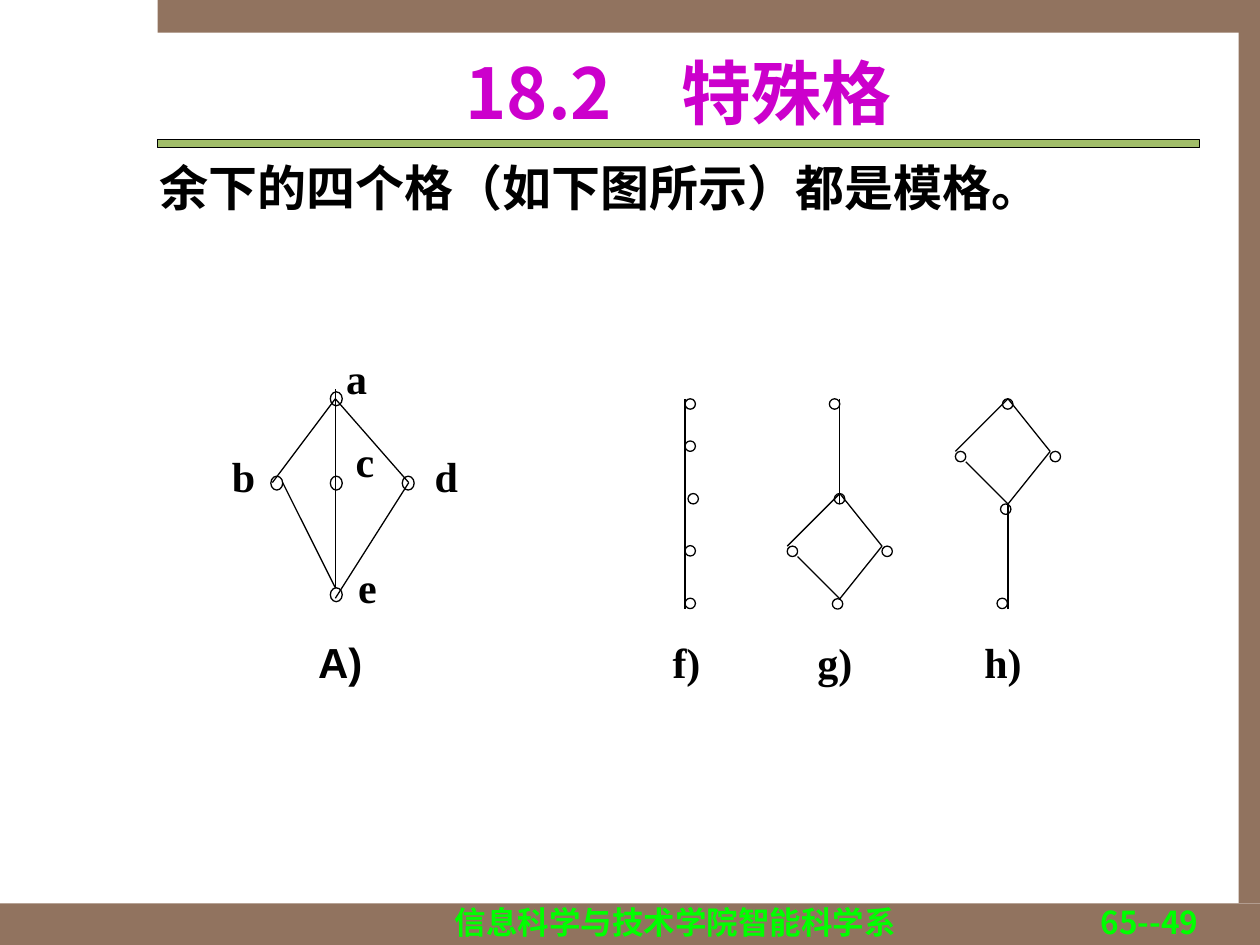
from lxml import etree
from pptx import Presentation
from pptx import util as u
from pptx.dml.color import RGBColor
from pptx.enum import shapes, text
from pptx.oxml.ns import qn

BROWN = RGBColor(0x91, 0x73, 0x5F)
GREEN = RGBColor(0xA1, 0xBD, 0x69)
LIME = RGBColor(0x00, 0xFF, 0x00)
PINK = RGBColor(0xCC, 0x00, 0xCC)
BLACK = RGBColor(0x00, 0x00, 0x00)

HAN, SERIF, SANS = "Noto Sans CJK SC", "Times New Roman", "Arial"
MID, TOP = text.MSO_ANCHOR.MIDDLE, text.MSO_ANCHOR.TOP
LEFT, MEAN, RIGHT = text.PP_ALIGN.LEFT, text.PP_ALIGN.CENTER, text.PP_ALIGN.RIGHT
THIN = u.Pt(0.75)


def apply(item, vals):
    for key, val in vals.items():
        setattr(item, key, val)


def place(shape, box):
    apply(shape, dict(zip(("left", "top", "width", "height"), map(u.Cm, box))))


def write(shape, words, size, face, hue, align, anchor=TOP, wrap=True, pitch=1.0):
    frame = shape.text_frame
    apply(frame, {"word_wrap": wrap, "vertical_anchor": anchor,
                  "auto_size": text.MSO_AUTO_SIZE.NONE})
    para = frame.paragraphs[0]
    apply(para, {"alignment": align, "space_before": u.Pt(0), "line_spacing": pitch})
    run = para.add_run()
    run.text = words
    apply(run.font, {"size": u.Pt(size), "bold": True, "name": face})
    run.font.color.rgb = hue
    east = etree.SubElement(run.font._element, qn("a:ea"))
    east.set("typeface", face)


def bar(slide, box, fill):
    shape = slide.shapes.add_shape(shapes.MSO_SHAPE.RECTANGLE, *map(u.Cm, box))
    shape.shadow.inherit = False
    shape.fill.solid()
    shape.fill.fore_color.rgb = fill
    shape.line.fill.background()
    return shape


def border(slide):
    bar(slide, (0, 18.21, 25.4, 0.84), BROWN)
    bar(slide, (3.18, 0, 22.22, 0.66), BROWN)
    bar(slide, (24.97, 0.64, 0.43, 17.57), BROWN)


def head(slide, box):
    """Title with its green rule along the bottom edge."""
    x, y, w, h = box
    place(slide.shapes.title, box)
    write(slide.shapes.title, "18.2　特殊格", 40, HAN, PINK, MEAN, MID)
    rule = bar(slide, (x, y + h - 0.03, w, 0.16), GREEN)
    rule.line.color.rgb = BLACK
    rule.line.width = THIN


def body(slide, box):
    hold = slide.placeholders[1]
    place(hold, box)
    props = hold.text_frame.paragraphs[0]._p.get_or_add_pPr()
    props.set("marL", str(u.Cm(1.48)))
    props.set("indent", str(u.Cm(-1.48)))
    etree.SubElement(props, qn("a:buNone"))
    write(hold, "余下的四个格（如下图所示）都是模格。", 28, HAN, BLACK, LEFT, pitch=0.9)


def foot(slide, box):
    x, y, w, h = box
    split = 11.02
    for left, wide, words, align in (
            (x, split, "信息科学与技术学院智能科学系", MEAN),
            (x + split, w - split, "65--49", RIGHT)):
        label = slide.shapes.add_textbox(*map(u.Cm, (left, y, wide, h)))
        write(label, words, 18, HAN, LIME, align, pitch=0.9)


def graph(slide, box, nodes, edges, tags, dot=(0.21, 0.21)):
    """Hasse diagram; box is its apex, node points are their top left corners."""
    x, y = box
    group = slide.shapes.add_group_shape().shapes
    for x1, y1, x2, y2 in edges:
        line = group.add_connector(
            shapes.MSO_CONNECTOR.STRAIGHT,
            *map(u.Cm, (x + x1, y + y1, x + x2, y + y2)))
        line.line.color.rgb = BLACK
        line.line.width = THIN
        etree.SubElement(line._element.spPr, qn("a:effectLst"))
    for dx, dy in nodes:
        ring = group.add_shape(shapes.MSO_SHAPE.OVAL,
                               *map(u.Cm, (x + dx, y + dy, *dot)))
        ring.shadow.inherit = False
        ring.fill.background()
        ring.line.color.rgb = BLACK
        ring.line.width = THIN
    for words, dx, dy, face in tags:
        wide, high = 0.5 + 0.45 * len(words), 1.27
        label = group.add_textbox(
            *map(u.Cm, (x + dx - wide / 2, y + dy - high / 2, wide, high)))
        write(label, words, 24, face, BLACK, MEAN, MID, False)


def five(slide, box):
    """Diamond with three middle elements."""
    nodes = [(-0.1, -0.14), (-1.3, 1.56), (-0.1, 1.56), (1.35, 1.56), (-0.1, 3.81)]
    edges = [(0, 0, -1.27, 1.69), (0, 3.81, -1.06, 1.69), (0, 4.02, 1.48, 1.69),
             (0, 3.81, 0, -0.2), (1.48, 1.69, 0, 0)]
    tags = [("a", 0.43, -0.43, SERIF), ("b", -1.85, 1.55, SERIF),
            ("c", 0.6, 1.25, SERIF), ("d", 2.24, 1.55, SERIF),
            ("e", 0.65, 3.79, SERIF), ("Α)", 0.1, 5.3, SANS)]
    graph(slide, box, nodes, edges, tags, (0.24, 0.28))


def chain(slide, box):
    nodes = [(0, 0), (0, 0.85), (0.06, 1.91), (0, 2.96), (0, 4.02)]
    graph(slide, box, nodes, [(0, 0, 0, 4.23)], [("f)", 0.03, 5.3, SERIF)])


def kite(slide, box, drop, stem, end, name):
    """Four-element diamond, drop below the box top, with a stem to one more node."""
    nodes = [(-0.11, drop), (-1.06, drop + 1.06), (0.85, drop + 1.06),
             (-0.15, drop + 2.12), end]
    sides = [(0, 0, -1.06, 1.06), (0, 0, 0.85, 1.06),
             (-0.85, 1.27, 0, 2.12), (0.85, 1.06, 0, 2.12)]
    edges = [(a, b + drop, c, d + drop) for a, b, c, d in sides]
    edges.append((0, stem, 0, stem + 2.12))
    graph(slide, box, nodes, edges, [(name, -0.1, 5.3, SERIF)])


def main():
    deck = Presentation()
    deck.slide_width, deck.slide_height = u.Cm(25.4), u.Cm(19.05)
    slide = deck.slides.add_slide(deck.slide_layouts[1])
    border(slide)
    head(slide, (3.18, 0.84, 21, 2.01))
    body(slide, (2.97, 3.18, 18.85, 1.45))
    foot(slide, (8.1, 18.16, 16.31, 0.46))
    top = 8.04
    five(slide, (6.76, top))
    chain(slide, (13.81, top))
    kite(slide, (16.93, top), 1.91, 0, (-0.21, 0), "g)")
    kite(slide, (20.32, top), 0, 2.12, (-0.22, 4.02), "h)")
    deck.save("out.pptx")


if __name__ == "__main__":
    main()
